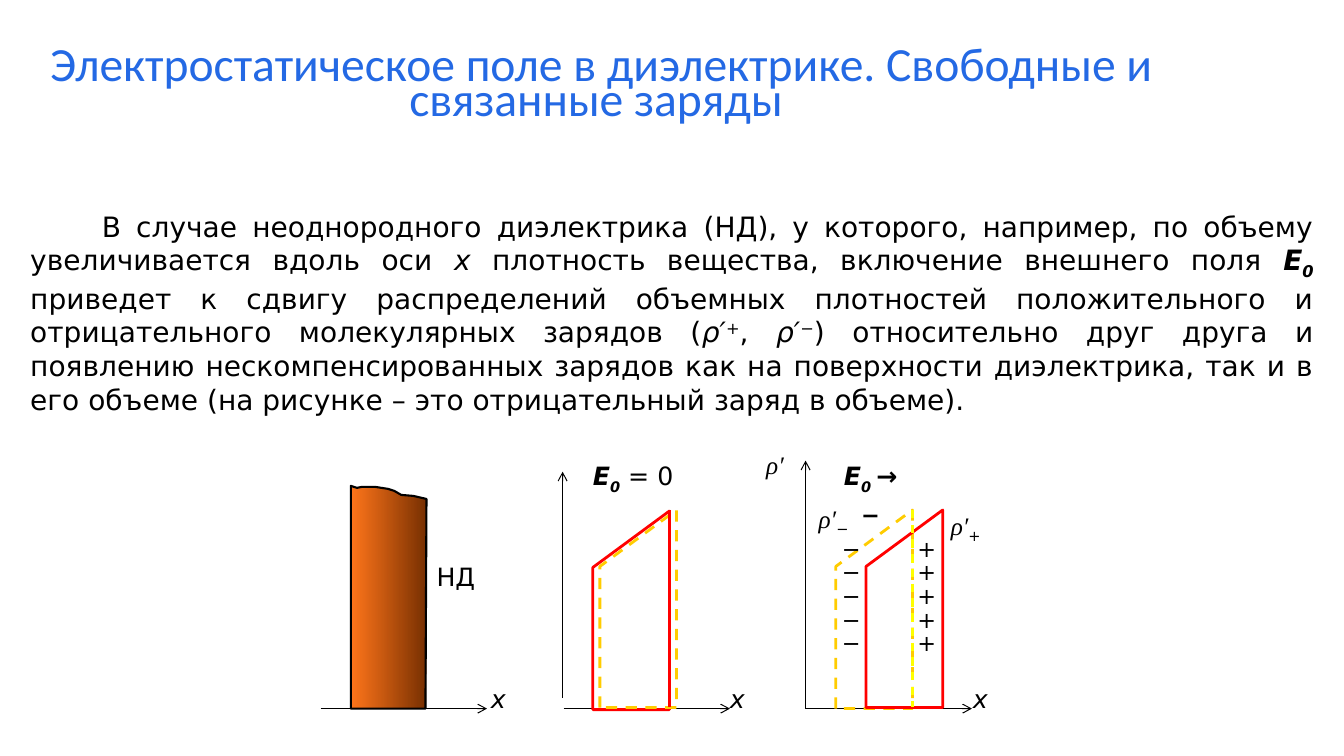
from dataclasses import dataclass

from lxml.etree import SubElement
from pptx import Presentation
from pptx.dml.color import RGBColor
from pptx.enum.dml import MSO_LINE
from pptx.enum.shapes import MSO_CONNECTOR
from pptx.enum.text import MSO_ANCHOR, MSO_AUTO_SIZE, PP_ALIGN
from pptx.oxml.ns import qn
from pptx.util import Pt

EMU_PER_PX = 9144
SANS, SERIF, TITLE_FONT = "DejaVu Sans", "Times New Roman", "Calibri"
COLORS = {
    "title": "2469E4",
    "ink": "000000",
    "positive": "FF0000",
    "negative": "FFCC00",
    "edge": "FFFF00",
    "block_light": "FF6600",
    "block_dark": "762F00",
}


@dataclass(frozen=True)
class Span:
    text: str
    bold: bool = False
    italic: bool = False
    base: int = 0
    font: str = SANS


@dataclass(frozen=True)
class Label:
    x: int
    y: int
    w: int
    h: int
    spans: tuple[Span, ...]
    size: int = 18
    spacing: float = 1.0
    rows: int = 1


@dataclass(frozen=True)
class Line:
    x1: int
    y1: int
    x2: int
    y2: int
    color: str = "ink"
    width: float = 0.75
    dashed: bool = False
    arrow: bool = True


@dataclass(frozen=True)
class Profile:
    x: int
    top: int
    bottom: int
    color: str
    dashed: bool = False


X_NAME = (Span("х", italic=True),)
RHO = Span("ρ′", italic=True, font=SERIF)
FIELD = Span("Е", bold=True, italic=True)
BODY = (
    Span("В случае неоднородного диэлектрика (НД), у которого, например, "
         "по объему увеличивается вдоль оси "),
    Span("х", italic=True),
    Span(" плотность вещества, включение внешнего поля "),
    FIELD,
    Span("0 ", bold=True, italic=True, base=-25),
    Span("приведет к сдвигу распределений объемных плотностей положительного "
         "и отрицательного молекулярных зарядов ("),
    Span("ρ′", italic=True),
    Span("+", italic=True, base=30),
    Span(", "),
    Span("ρ′", italic=True),
    Span("−", italic=True, base=30),
    Span(") относительно друг друга и появлению нескомпенсированных зарядов "
         "как на поверхности диэлектрика, так и в его объеме (на рисунке – "
         "это отрицательный заряд в объеме)."),
)
LABELS = (
    Label(433, 557, 52, 49, (Span("НД"),)),
    Label(588, 457, 119, 49,
          (FIELD, Span("0", bold=True, italic=True, base=-25), Span(" = 0"))),
    Label(837, 457, 91, 49,
          (FIELD, Span("0 ", bold=True, italic=True, base=-25),
           Span("→", bold=True))),
    Label(760, 446, 37, 49, (RHO,)),
    Label(812, 499, 44, 49, (RHO, Span("−", italic=True, base=-25))),
    Label(943, 506, 49, 49, (RHO, Span("+", italic=True, base=-25))),
    Label(910, 534, 17, 151, (Span("+"),), 16, 0.88, 5),
    Label(835, 534, 17, 151, (Span("−"),), 16, 0.88, 5),
    Label(854, 501, 17, 24, (Span("−", bold=True),), 16, 0.88),
    *(Label(x, 678, 30, 42, X_NAME) for x in (487, 724, 965)),
)
AXES = (
    *(Line(x, 703, x + 165, 703) for x in (318, 559, 799)),
    Line(558, 692, 558, 468),
    Line(799, 703, 799, 457),
)
PROFILES = (
    Profile(829, 506, 703, "negative", True),
    Profile(859, 506, 702, "positive"),
    Profile(588, 507, 704, "positive"),
    Profile(595, 506, 702, "negative", True),
)
EDGES = (
    Line(905, 506, 905, 701, "edge", 1.5, True, False),
    Line(664, 506, 664, 701, "positive", 2, False, False),
)
BLOCK = ((348, 482), (354, 484), (359, 483), (372, 483), (385, 485),
         (391, 487), (398, 491), (410, 492), (423, 495), (422, 703), (348, 703))


def px(n: int) -> int:
    """Turn px into EMU."""
    return n * EMU_PER_PX


def rgb(name: str) -> RGBColor:
    """Look up a named colour."""
    return RGBColor.from_string(COLORS[name])


def place(s, x: int, y: int, w: int, h: int) -> None:
    """Move and size a shape."""
    s.left, s.top, s.width, s.height = px(x), px(y), px(w), px(h)


def write(p, spans: tuple[Span, ...], size: int, color: str = "ink") -> None:
    """Add formatted runs to a paragraph."""
    for span in spans:
        r = p.add_run()
        r.text = span.text
        r.font.name, r.font.size = span.font, Pt(size)
        r.font.bold, r.font.italic = span.bold, span.italic
        r.font.color.rgb = rgb(color)
        if span.base:
            r._r.get_or_add_rPr().set("baseline", str(span.base * 1000))


def style_line(s, color: str, width: float, dashed: bool = False) -> None:
    """Format an outline or a connector."""
    s.line.color.rgb = rgb(color)
    s.line.width = Pt(width)
    if dashed:
        s.line.dash_style = MSO_LINE.DASH


def add_label(sp, label: Label) -> None:
    """Add a text box with equal rows."""
    s = sp.add_textbox(px(label.x), px(label.y), px(label.w), px(label.h))
    tf = s.text_frame
    tf.word_wrap = True
    tf.margin_left = tf.margin_right = tf.margin_top = tf.margin_bottom = 0
    for row in range(label.rows):
        p = tf.add_paragraph() if row else tf.paragraphs[0]
        p.line_spacing = label.spacing
        write(p, label.spans, label.size)


def add_line(sp, line: Line) -> None:
    """Add a straight line, with an arrowhead for an axis."""
    s = sp.add_connector(MSO_CONNECTOR.STRAIGHT, px(line.x1), px(line.y1),
                         px(line.x2), px(line.y2))
    style_line(s, line.color, line.width, line.dashed)
    if line.arrow:
        SubElement(s.line._get_or_add_ln(), qn("a:tailEnd"), type="arrow")
    SubElement(s._element.spPr, qn("a:effectLst"))


def add_outline(sp, points):
    """Add a closed polygon without fill."""
    builder = sp.build_freeform(*points[0], scale=EMU_PER_PX)
    builder.add_line_segments(points[1:], close=True)
    s = builder.convert_to_shape()
    s.shadow.inherit = False
    s.fill.background()
    return s


def add_profile(sp, prof: Profile) -> None:
    """Add a charge density profile."""
    right = prof.x + 76
    s = add_outline(sp, ((prof.x, prof.bottom), (prof.x, prof.top + 56),
                         (right, prof.top), (right, prof.bottom)))
    style_line(s, prof.color, 2, prof.dashed)


def add_block(sp) -> None:
    """Add the dielectric block."""
    s = add_outline(sp, BLOCK)
    s.fill.gradient()
    s.fill.gradient_angle = 0
    for stop, name, pos in zip(s.fill.gradient_stops,
                               ("block_light", "block_dark"), (0, 1)):
        stop.color.rgb = rgb(name)
        stop.position = pos
    light = next(s._element.spPr.iter(qn("a:srgbClr")))
    SubElement(light, qn("a:alpha"), val="90000")
    style_line(s, "ink", 1.5)


def fill_placeholder(s, anchor: MSO_ANCHOR, align: PP_ALIGN):
    """Format a placeholder and return its first paragraph."""
    tf = s.text_frame
    tf.word_wrap, tf.auto_size = True, MSO_AUTO_SIZE.NONE
    tf.vertical_anchor = anchor
    p = tf.paragraphs[0]
    p.alignment, p.space_before = align, Pt(0)
    return p


def main() -> None:
    """Build the slide."""
    prs = Presentation()
    prs.slide_width, prs.slide_height = px(1333), px(750)
    slide = prs.slides.add_slide(prs.slide_layouts[1])
    sp = slide.shapes
    title, body = sp.title, slide.placeholders[1]

    place(title, 21, 16, 1151, 111)
    p = fill_placeholder(title, MSO_ANCHOR.BOTTOM, PP_ALIGN.CENTER)
    p.line_spacing = 0.6
    write(p, (Span("Электростатическое поле в диэлектрике. Свободные и "
                   "связанные заряды ", font=TITLE_FONT),), 34, "title")

    place(body, 20, 204, 1293, 212)
    p = fill_placeholder(body, MSO_ANCHOR.MIDDLE, PP_ALIGN.JUSTIFY)
    pPr = p._p.get_or_add_pPr()
    pPr.set("marL", "0")
    pPr.set("indent", str(px(71)))
    SubElement(pPr, qn("a:buNone"))
    write(p, BODY, 20)

    add_block(sp)
    for line in AXES:
        add_line(sp, line)
    for prof in PROFILES:
        add_profile(sp, prof)
    for line in EDGES:
        add_line(sp, line)
    for label in LABELS:
        add_label(sp, label)
    prs.save("out.pptx")


if __name__ == "__main__":
    main()
